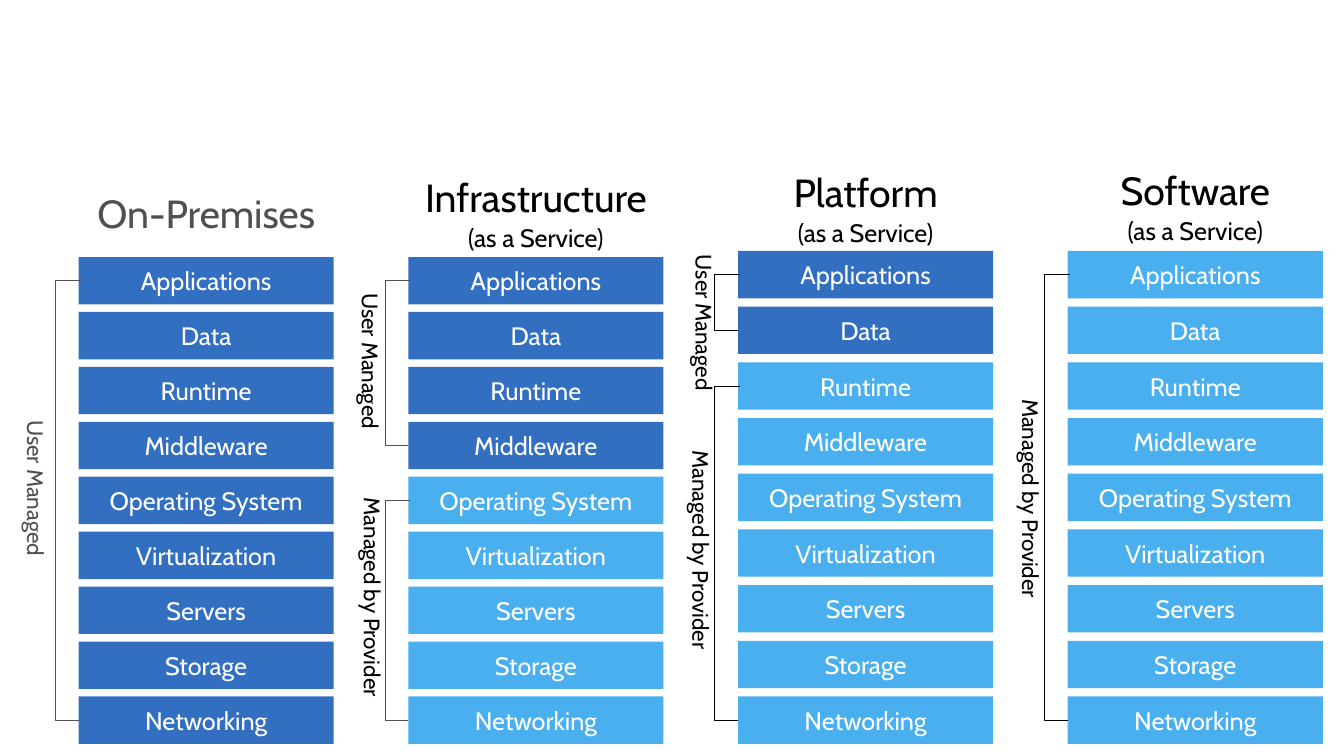
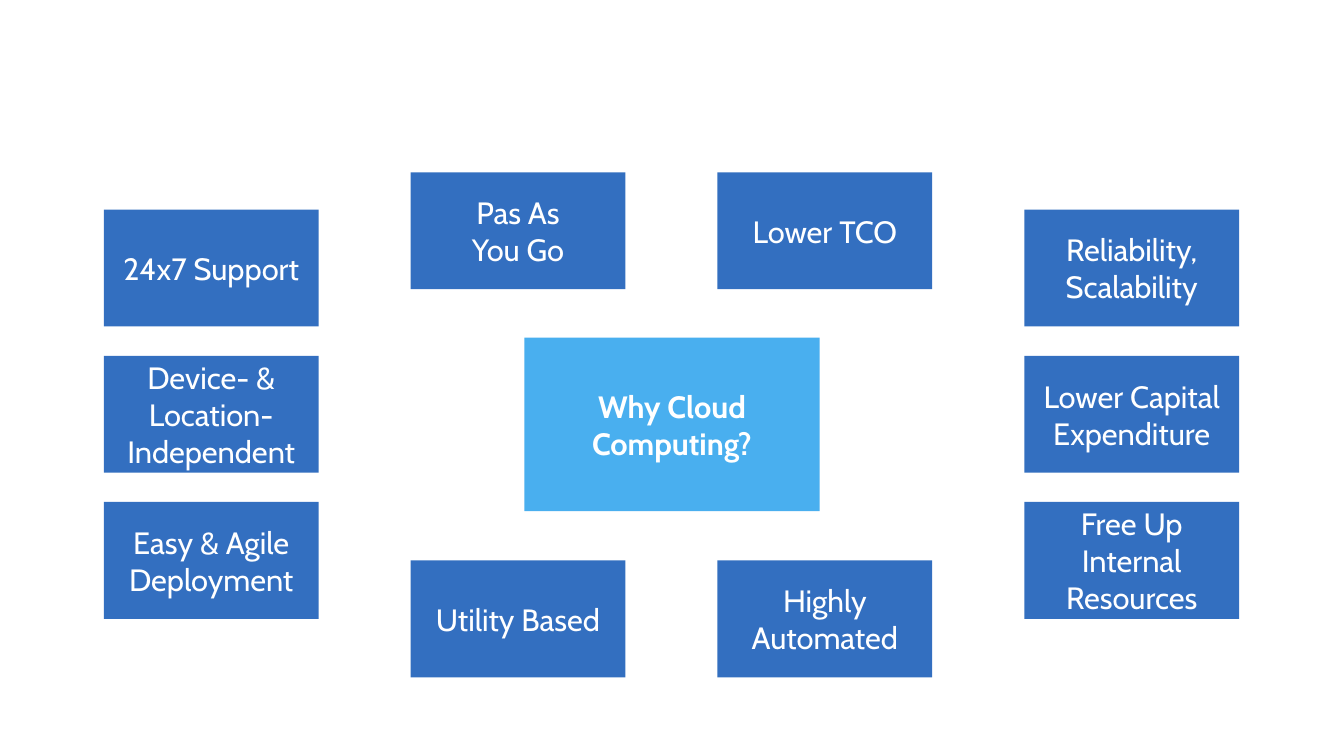
from lxml import etree
from pptx import Presentation
from pptx.dml.color import RGBColor
from pptx.enum.shapes import MSO_CONNECTOR, MSO_SHAPE
from pptx.enum.text import MSO_ANCHOR, MSO_AUTO_SIZE, PP_ALIGN
from pptx.oxml.ns import qn
from pptx.util import Inches, Pt

RECT = MSO_SHAPE.RECTANGLE
ELBOW = MSO_CONNECTOR.ELBOW
MIDDLE = MSO_ANCHOR.MIDDLE
CENTER, LEFT = PP_ALIGN.CENTER, PP_ALIGN.LEFT
GROW = MSO_AUTO_SIZE.SHAPE_TO_FIT_TEXT

FONT = "Cabin"
COLORS = {"user": "336FC0", "provider": "49AFEF", "white": "FFFFFF",
          "black": "000000", "gray": "505050"}

LAYERS = ["Applications", "Data", "Runtime", "Middleware", "Operating System",
          "Virtualization", "Servers", "Storage", "Networking"]
STACK_LEFT, STACK_PITCH, STACK_W = 0.78, 3.27, 2.53
LAYER_H, LAST_LAYER_TOP = 0.47, 6.91
STUB, SPINE_GAP = 0.02, 0.23

USER, PROVIDER = "User Managed", "Managed by Provider"
LABEL_H = {USER: 1.47, PROVIDER: 2.13}
SERVICE = "(as a Service)"

# Each bracket: label, first layer, last layer, label gap, label top.
STACKS = [
    {"heading": ["On-Premises"], "heading_top": 1.93, "top": 2.55,
     "user_layers": 9, "text": "gray", "line": "gray",
     "brackets": [(USER, 0, 8, 0.57, 4.17)]},
    {"heading": ["Infrastructure", SERVICE], "heading_top": 1.77, "top": 2.55,
     "user_layers": 4, "text": "black", "line": "gray",
     "brackets": [(USER, 0, 3, 0.52, 2.91), (PROVIDER, 4, 8, 0.5, 4.94)]},
    {"heading": ["Platform", SERVICE], "heading_top": 1.72, "top": 2.49,
     "user_layers": 2, "text": "black", "line": "black",
     "brackets": [(USER, 0, 1, 0.48, 2.53), (PROVIDER, 2, 8, 0.51, 4.47)]},
    {"heading": ["Software", SERVICE], "heading_top": 1.7, "top": 2.49,
     "user_layers": 0, "text": "black", "line": "black",
     "brackets": [(PROVIDER, 0, 8, 0.51, 3.96)]},
]

BENEFIT_LEFT, BENEFIT_RIGHT = 1.03, 10.16
BENEFIT_W, BENEFIT_H = 2.13, 1.16
OUTER_TOP, OUTER_PITCH = 2.08, 1.45
INNER_TOP, INNER_PITCH = 1.71, 3.85
BENEFITS = [
    (OUTER_TOP, OUTER_PITCH, ["24x7 Support", "Device- & Location-Independent",
                              "Easy & Agile Deployment"]),
    (INNER_TOP, INNER_PITCH, ["Pas As\nYou Go", "Utility Based"]),
    (INNER_TOP, INNER_PITCH, ["Lower TCO", "Highly Automated"]),
    (OUTER_TOP, OUTER_PITCH, ["Reliability, Scalability",
                              "Lower Capital Expenditure",
                              "Free Up Internal Resources"]),
]


def rgb(name):
    return RGBColor.from_string(COLORS[name])


def style(p, size, color, align=CENTER, bold=False):
    p.alignment = align
    p.font.name = FONT
    p.font.size = Pt(size)
    p.font.bold = bold
    p.font.color.rgb = rgb(color)


def add_block(slide, x, y, w, h, text, fill, size, bold=False):
    sp = slide.shapes.add_shape(RECT, *map(Inches, (x, y, w, h)))
    sp.shadow.inherit = False
    sp.fill.solid()
    sp.fill.fore_color.rgb = rgb(fill)
    sp.line.fill.background()
    tf = sp.text_frame
    tf.word_wrap = True
    tf.vertical_anchor = MIDDLE
    tf.text = text
    for p in tf.paragraphs:
        style(p, size, "white", bold=bold)


def add_text(slide, x, y, w, h, lines):
    sp = slide.shapes.add_textbox(*map(Inches, (x, y, w, h)))
    tf = sp.text_frame
    tf.margin_left = tf.margin_right = tf.margin_top = tf.margin_bottom = 0
    tf.word_wrap = True
    tf.auto_size = GROW
    tf.text = "\n".join(lines)
    for p in tf.paragraphs:
        p.line_spacing = 0.9
    return tf


def add_heading(slide, x, y, lines, color):
    h = 0.43 if len(lines) == 1 else 0.76
    tf = add_text(slide, x, y, STACK_W, h, lines)
    for p, size in zip(tf.paragraphs, (28, 18)):
        style(p, size, color)
    for p in tf.paragraphs[1:]:
        p.space_before = Pt(3.6)


def add_vertical_label(slide, x, y, text, color):
    tf = add_text(slide, x, y, 0.25, LABEL_H[text], [text])
    tf.word_wrap = False
    tf._txBody.bodyPr.set("vert", "eaVert")
    style(tf.paragraphs[0], 16, color, LEFT)


def add_bracket(slide, x, top, bottom, color):
    cxn = slide.shapes.add_connector(
        ELBOW, *map(Inches, (x + STUB, top, x, bottom)))
    cxn.line.color.rgb = rgb(color)
    cxn.line.width = Pt(0.5)
    sp_pr = cxn._element.spPr
    etree.SubElement(sp_pr, qn("a:effectLst"))
    bend = round((SPINE_GAP + STUB) / STUB * 100000)
    guides = sp_pr.find(qn("a:prstGeom")).find(qn("a:avLst"))
    etree.SubElement(guides, qn("a:gd"), name="adj1", fmla=f"val {bend}")


def add_stack(slide, x, stack):
    pitch = (LAST_LAYER_TOP - stack["top"]) / (len(LAYERS) - 1)
    tops = [stack["top"] + i * pitch for i in range(len(LAYERS))]
    for i, (layer, y) in enumerate(zip(LAYERS, tops)):
        fill = "user" if i < stack["user_layers"] else "provider"
        add_block(slide, x, y, STACK_W, LAYER_H, layer, fill, 18)
    add_heading(slide, x, stack["heading_top"], stack["heading"], stack["text"])
    for label, first, last, gap, label_top in stack["brackets"]:
        add_vertical_label(slide, x - gap, label_top, label, stack["text"])
        add_bracket(slide, x, tops[first] + LAYER_H / 2,
                    tops[last] + LAYER_H / 2, stack["line"])


def build_service_models(slide):
    for i, stack in enumerate(STACKS):
        add_stack(slide, STACK_LEFT + i * STACK_PITCH, stack)


def build_benefits(slide):
    col_pitch = (BENEFIT_RIGHT - BENEFIT_LEFT) / (len(BENEFITS) - 1)
    for col, (top, row_pitch, benefits) in enumerate(BENEFITS):
        for row, benefit in enumerate(benefits):
            add_block(slide, BENEFIT_LEFT + col * col_pitch,
                      top + row * row_pitch, BENEFIT_W, BENEFIT_H,
                      benefit, "user", 22)
    add_block(slide, 5.2, 3.35, 2.93, 1.72, "Why Cloud Computing?",
              "provider", 22, bold=True)


def main():
    prs = Presentation()
    prs.slide_width, prs.slide_height = Inches(13.33), Inches(7.5)
    for build in (build_service_models, build_benefits):
        build(prs.slides.add_slide(prs.slide_layouts[6]))
    prs.save("out.pptx")


if __name__ == "__main__":
    main()
